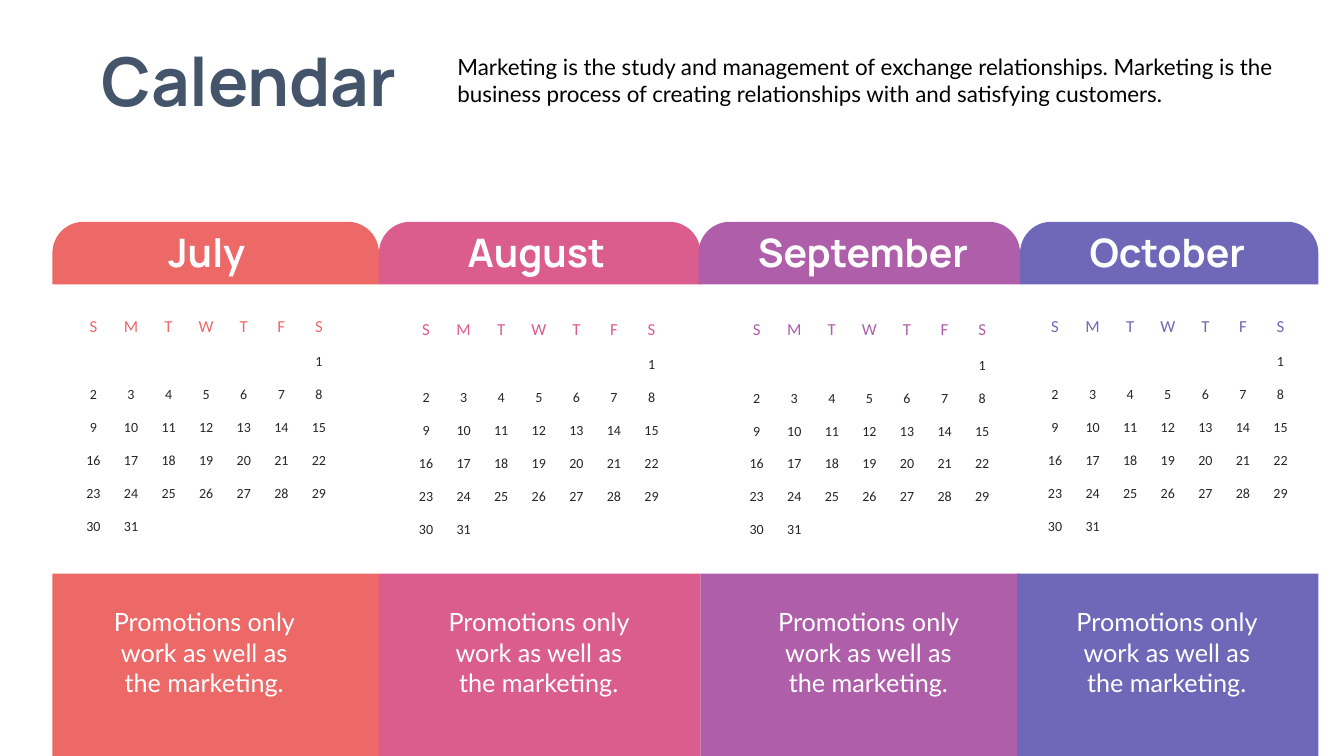
from collections import namedtuple

from pptx import Presentation
from pptx import util as u
from pptx.dml.color import RGBColor
from pptx.enum import shapes, text

COLORS = {
    "July": "EC6968",
    "August": "DA5D8D",
    "September": "AF5FAA",
    "October": "6F68B9",
    "title": "44546A",
    "body": "000000",
    "day": "262626",
    "white": "FFFFFF",
}
LEFT, CENTER = text.PP_ALIGN.LEFT, text.PP_ALIGN.CENTER
WEEKDAYS = "SMTWTFS"
FIRST_WEEKDAY = 6
DAYS = 31
WEEKS = 6
PROMOTION = "Promotions only work as well as the marketing."

# Each pair is (left, width), except grid, which is (left, top)
Month = namedtuple("Month", "name header panel grid label align promotion_left")
MONTHS = [
    Month("July", (37.44, 233.28), (37.44, 233.28), (53.28, 219.6),
          (113.04, 72.72), LEFT, 64.8),
    Month("August", (270.72, 229.68), (270.72, 229.68), (290.88, 221.76),
          (326.88, 115.92), LEFT, 303.84),
    Month("September", (498.96, 229.68), (500.4, 228.24), (527.04, 222.1),
          (534.24, 172.8), LEFT, 539.28),
    Month("October", (728.64, 213.12), (726.48, 215.28), (740.16, 219.6),
          (768.24, 131.04), CENTER, 752.4),
]


class CalendarSlide:
    heading_font = "Manrope"
    body_font = "Lato"
    grid_font = "Calibri"
    column_width = 26.85
    weekday_height = 27.06
    week_height = 23.57

    def __init__(self, presentation):
        self.slide = presentation.slides.add_slide(presentation.slide_layouts[6])

    def format(self, paragraph, font, size, color, bold=False, align=LEFT):
        paragraph.alignment = align
        for run in paragraph.runs:
            run.font.name = font
            run.font.size = u.Pt(size)
            run.font.bold = bold
            run.font.color.rgb = RGBColor.from_string(COLORS[color])

    def block(self, kind, left, top, width, height, color):
        shape = self.slide.shapes.add_shape(
            kind, u.Pt(left), u.Pt(top), u.Pt(width), u.Pt(height))
        shape.shadow.inherit = False
        shape.fill.solid()
        shape.fill.fore_color.rgb = RGBColor.from_string(COLORS[color])
        shape.line.fill.background()
        return shape

    def text(self, content, left, top, width, height, font, size, color,
             bold=False, align=LEFT, wrap=True):
        box = self.slide.shapes.add_textbox(
            u.Pt(left), u.Pt(top), u.Pt(width), u.Pt(height))
        text_frame = box.text_frame
        text_frame.word_wrap = wrap
        text_frame.auto_size = text.MSO_AUTO_SIZE.SHAPE_TO_FIT_TEXT
        text_frame.text = content
        self.format(text_frame.paragraphs[0], font, size, color, bold, align)

    def heading(self, content, left, top, width, height, size, color, align):
        self.text(content, left, top, width, height, self.heading_font, size,
                  color, bold=True, align=align, wrap=False)

    def month_grid(self, left, top, color):
        columns = len(WEEKDAYS)
        height = self.weekday_height + WEEKS * self.week_height
        table = self.slide.shapes.add_table(
            WEEKS + 1, columns, u.Pt(left), u.Pt(top),
            u.Pt(columns * self.column_width), u.Pt(height)).table
        table.first_row = table.horz_banding = False
        for column in table.columns:
            column.width = u.Pt(self.column_width)
        for index, row in enumerate(table.rows):
            row.height = u.Pt(self.week_height if index else self.weekday_height)

        for cell in table.iter_cells():
            cell.fill.background()
            cell.vertical_anchor = text.MSO_ANCHOR.MIDDLE
            cell.margin_left = cell.margin_right = 0
            cell.margin_top = cell.margin_bottom = 0

        for column, weekday in enumerate(WEEKDAYS):
            self.cell_text(table.cell(0, column), weekday, 12, color)
        for day in range(1, DAYS + 1):
            week, column = divmod(FIRST_WEEKDAY + day - 1, columns)
            self.cell_text(table.cell(week + 1, column), str(day), 10, "day")

    def cell_text(self, cell, content, size, color):
        cell.text_frame.text = content
        self.format(cell.text_frame.paragraphs[0], self.grid_font, size, color,
                    align=CENTER)

    def month(self, month):
        # Rounded header with the month name
        left, width = month.header
        header = self.block(shapes.MSO_SHAPE.ROUND_2_SAME_RECTANGLE,
                            left, 158.4, width, 44.64, month.name)
        header.adjustments[0] = 0.5
        header.adjustments[1] = 0
        left, width = month.label
        self.heading(month.name, left, 159.84, width, 41.04, 28, "white",
                     month.align)

        # Days
        self.month_grid(*month.grid, month.name)

        # Promotion panel
        left, width = month.panel
        self.block(shapes.MSO_SHAPE.RECTANGLE, left, 409.68, width, 130.32,
                   month.name)
        self.text(PROMOTION, month.promotion_left, 429.84, 162, 72.72,
                  self.body_font, 18, "white", align=CENTER)


def main():
    presentation = Presentation()
    presentation.slide_width = u.Pt(960)
    presentation.slide_height = u.Pt(540)
    calendar = CalendarSlide(presentation)

    # Title and introduction
    calendar.heading("Calendar", 54, 24.48, 247.68, 65.52, 48, "title", CENTER)
    calendar.text(
        "Marketing is the study and management of exchange relationships. "
        "Marketing is the business process of creating relationships with "
        "and satisfying customers.",
        319.68, 34.56, 622.08, 46.08, calendar.body_font, 16, "body")

    # Month columns
    for month in MONTHS:
        calendar.month(month)

    presentation.save("out.pptx")


if __name__ == "__main__":
    main()
